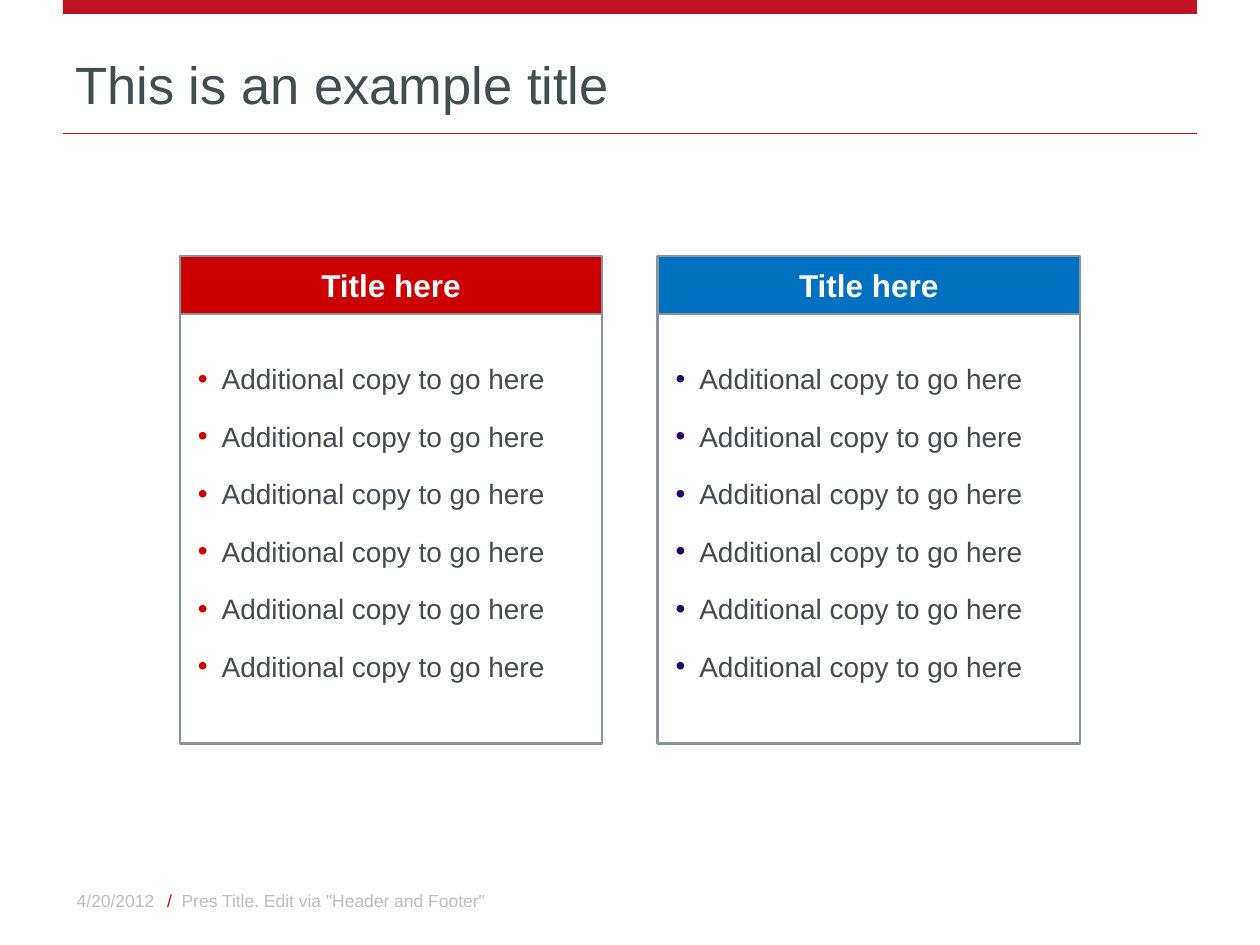
"""Build a slide with two titled bullet cards."""
import pptx
import pptx.dml.color
import pptx.enum.shapes
import pptx.enum.text
import pptx.oxml.ns
import pptx.util
from lxml import etree

Cm = pptx.util.Cm
Pt = pptx.util.Pt
Kind = pptx.enum.shapes.MSO_SHAPE
Align = pptx.enum.text.PP_ALIGN
Anchor = pptx.enum.text.MSO_ANCHOR
qn = pptx.oxml.ns.qn

BRAND, RED, BLUE, NAVY = "BF1223", "CC0000", "0070C0", "210769"
WHITE, SLATE, INK, EDGE, PALE = "FFFFFF", "404E50", "444A50", "8A929B", "BFBFBF"


def tint(code):
    """Turn a hex string into a colour."""
    return pptx.dml.color.RGBColor.from_string(code)


class Deck:
    """Hold the style and the current slide."""

    def __init__(self, face="Arial"):
        """Open a deck with one blank slide."""
        self.face = face
        self.deck = pptx.Presentation()
        self.deck.slide_width, self.deck.slide_height = Cm(25.4), Cm(19.05)
        self.slide = self.deck.slides.add_slide(self.deck.slide_layouts[6])

    def style(self, para, size, hue=None, bold=False, align=Align.LEFT):
        """Set the font and alignment of a paragraph."""
        para.alignment = align
        font = para.font
        font.name, font.size, font.bold = self.face, Pt(size), bold
        if hue:
            font.color.rgb = tint(hue)

    def text(self, box, runs, size, anchor=Anchor.MIDDLE, align=Align.LEFT):
        """Add a text box from pairs of words and colour."""
        shape = self.slide.shapes.add_textbox(*map(Cm, box))
        frame = shape.text_frame
        frame.word_wrap, frame.vertical_anchor = True, anchor
        para = frame.paragraphs[0]
        hue = runs[0][1] if len(runs) == 1 else None
        self.style(para, size, hue, align=align)
        for words, shade in runs:
            run = para.add_run()
            run.text = words
            if not hue:
                run.font.color.rgb = tint(shade)

    def panel(self, box, fill, edge=None, kind=Kind.ROUNDED_RECTANGLE):
        """Add a square-cornered panel and return its text frame."""
        shape = self.slide.shapes.add_shape(kind, *map(Cm, box))
        shape.shadow.inherit = False
        shape.fill.solid()
        shape.fill.fore_color.rgb = tint(fill)
        if kind == Kind.ROUNDED_RECTANGLE:
            shape.adjustments[0] = 0
        if edge:
            shape.line.color.rgb = tint(edge)
            shape.line.width = Pt(1.5)
        else:
            shape.line.fill.background()
        frame = shape.text_frame
        frame.word_wrap, frame.vertical_anchor = True, Anchor.MIDDLE
        return frame

    def rule(self, left, right, top, hue):
        """Add a level line."""
        ends = map(Cm, (left, top, right, top))
        line = self.slide.shapes.add_connector(
            pptx.enum.shapes.MSO_CONNECTOR.STRAIGHT, *ends)
        line.line.color.rgb = tint(hue)
        line.line.width = Pt(1)
        etree.SubElement(line._element.spPr, qn("a:effectLst"))

    def bullet(self, para, hue):
        """Give a paragraph a hanging coloured bullet."""
        props = para._p.get_or_add_pPr()
        props.set("marL", str(Cm(0.74)))
        props.set("indent", str(Cm(-0.48)))
        shade = etree.SubElement(props, qn("a:buClr"))
        etree.SubElement(shade, qn("a:srgbClr"), val=hue)
        etree.SubElement(props, qn("a:buFont"), typeface=self.face)
        etree.SubElement(props, qn("a:buChar"), char="•")

    def card(self, left, title, items, fill, dot):
        """Add a bulleted card with a header on top."""
        body = self.panel((left, 6.07, 8.51, 8.92), WHITE, EDGE)
        body.margin_left = body.margin_right = Cm(0.1)
        for i, item in enumerate(items):
            para = body.add_paragraph() if i else body.paragraphs[0]
            para.text = item
            para.space_after = Pt(13.7)
            self.style(para, 16, INK)
            self.bullet(para, dot)
        head = self.panel((left, 5.16, 8.51, 1.17), fill, EDGE)
        head.text = title
        self.style(head.paragraphs[0], 18, WHITE, True, Align.CENTER)


def main():
    """Build and save the slide."""
    deck = Deck()
    deck.panel((1.27, 0, 22.86, 0.28), BRAND, kind=Kind.RECTANGLE)
    deck.rule(1.27, 24.13, 2.69, BRAND)
    deck.text((1.27, 0.71, 22.86, 1.73), [("This is an example title", SLATE)],
              30, Anchor.BOTTOM)
    deck.text((0.41, 17.65, 2.95, 1.02), [("4/20/2012", PALE)], 10,
              align=Align.RIGHT)
    deck.text((3.12, 17.65, 8.05, 1.02),
              [("/ ", RED), (' Pres Title. Edit via "Header and Footer"', PALE)],
              10)
    items = ["Additional copy to go here"] * 6
    for left, fill, dot in ((3.63, RED, RED), (13.26, BLUE, NAVY)):
        deck.card(left, "Title here", items, fill, dot)
    deck.deck.save("out.pptx")


if __name__ == "__main__":
    main()
